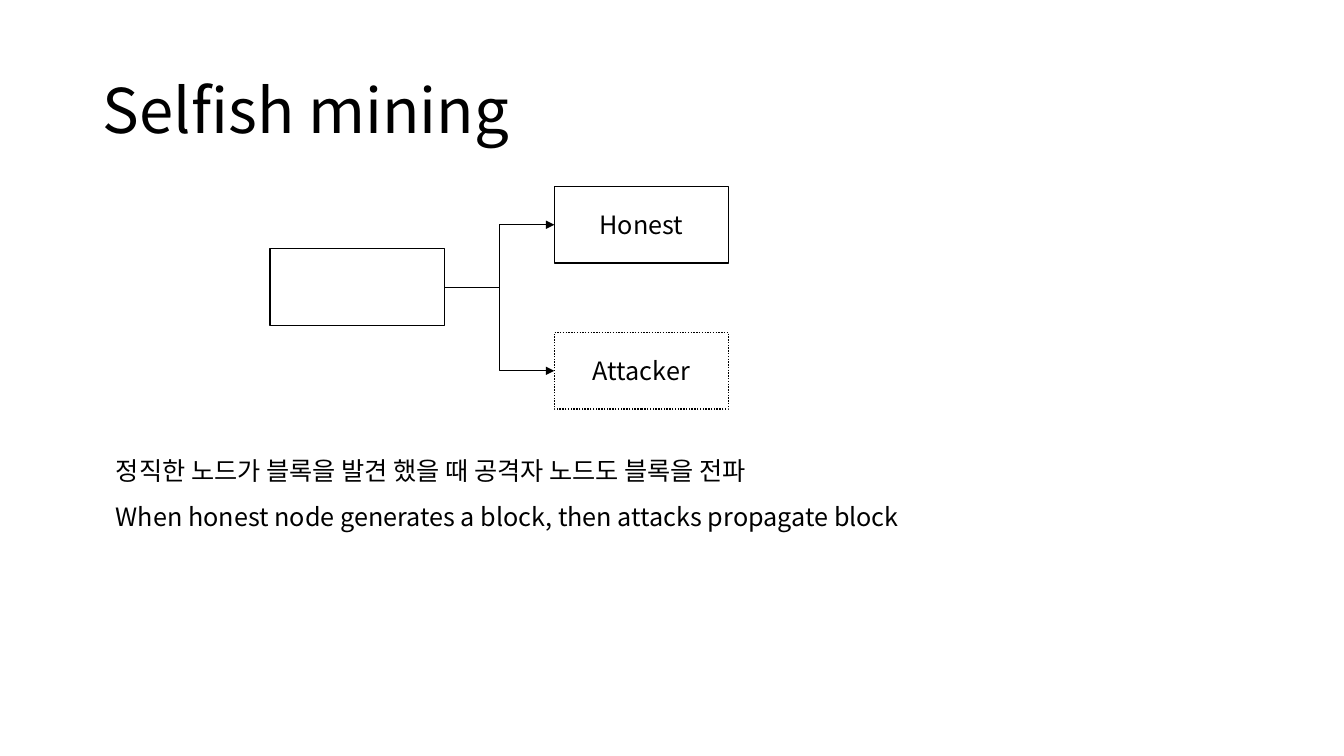
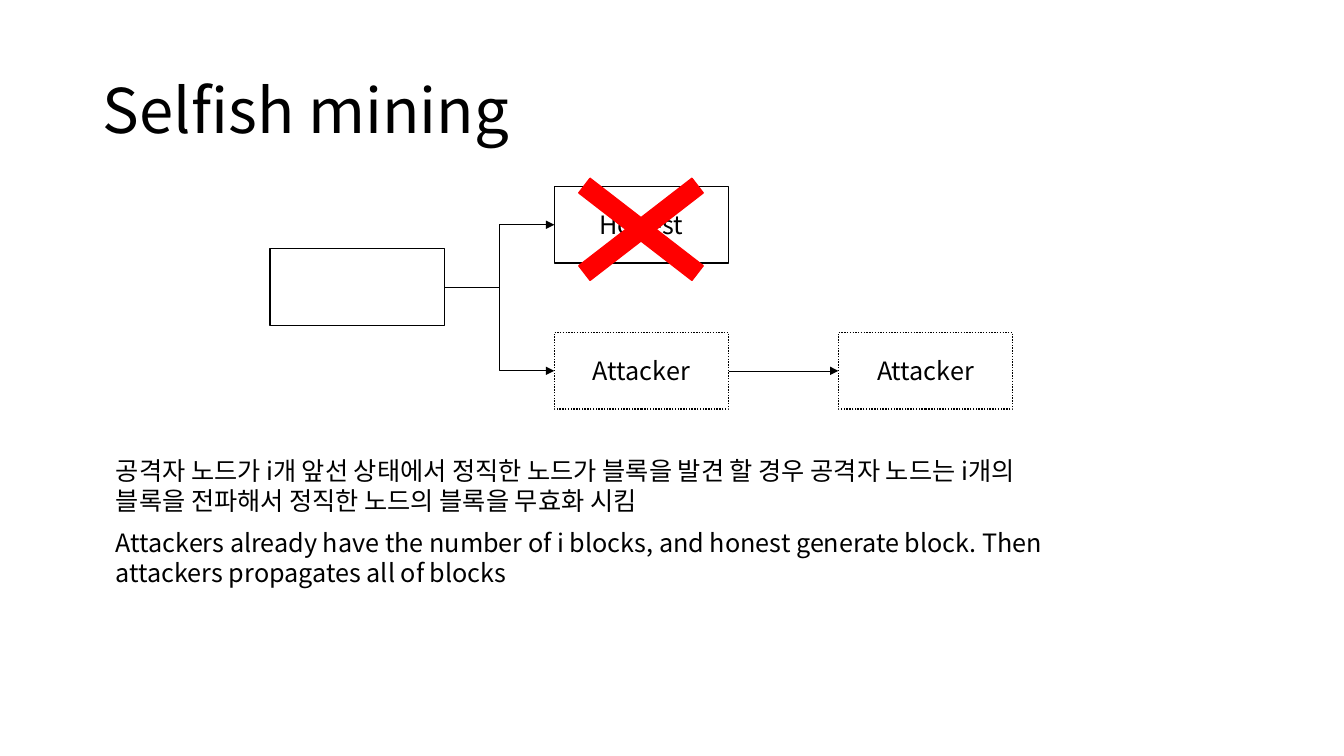
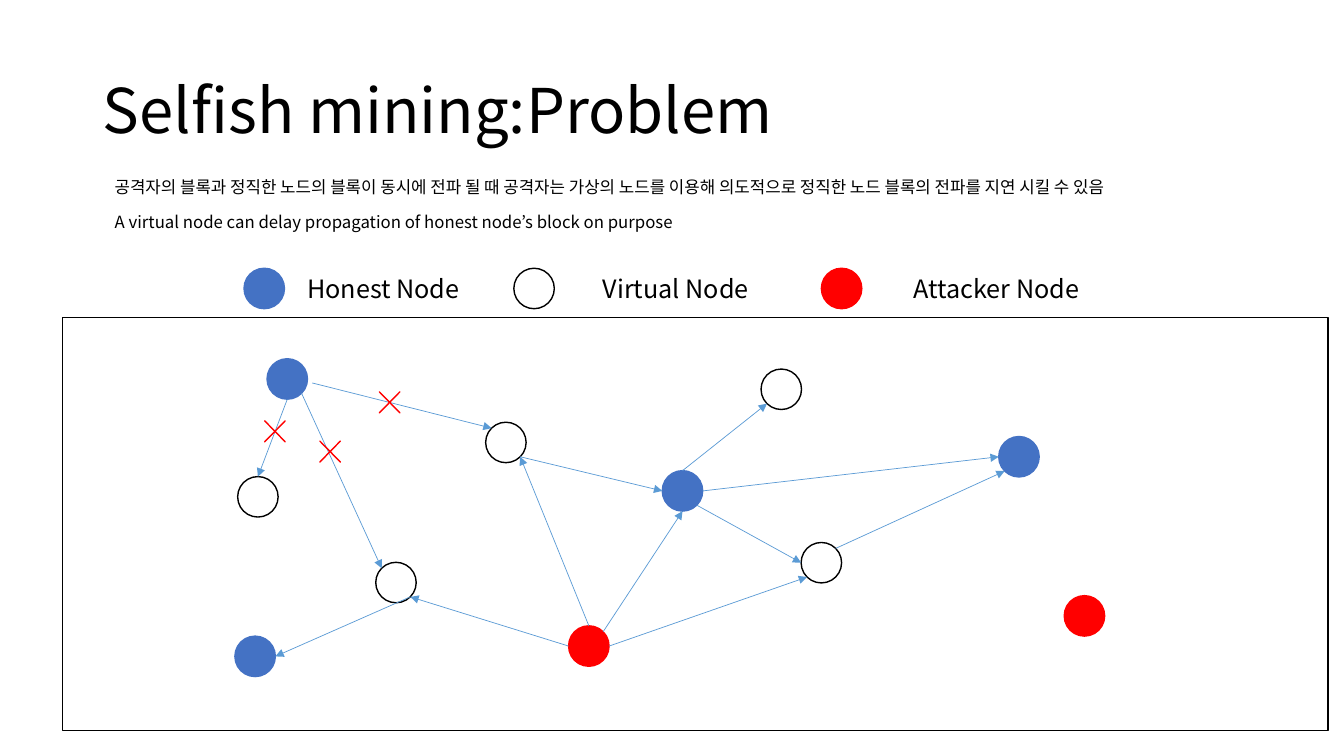
from math import cos, radians, sin

from lxml import etree
from pptx import Presentation
from pptx.dml.color import RGBColor
from pptx.enum.dml import MSO_LINE
from pptx.enum.shapes import MSO_CONNECTOR, MSO_SHAPE
from pptx.enum.text import MSO_ANCHOR, MSO_AUTO_SIZE, PP_ALIGN
from pptx.oxml.ns import qn
from pptx.util import Cm, Pt

RECT, OVAL, CROSS = MSO_SHAPE.RECTANGLE, MSO_SHAPE.OVAL, MSO_SHAPE.MATH_MULTIPLY
ELBOW, STRAIGHT = MSO_CONNECTOR.ELBOW, MSO_CONNECTOR.STRAIGHT
DOTTED = MSO_LINE.ROUND_DOT
MIDDLE = MSO_ANCHOR.MIDDLE
LEFT, CENTER = PP_ALIGN.LEFT, PP_ALIGN.CENTER
FIXED, GROW = MSO_AUTO_SIZE.NONE, MSO_AUTO_SIZE.SHAPE_TO_FIT_TEXT

FONT = "Noto Sans CJK KR"
BLACK = RGBColor(0x00, 0x00, 0x00)
BLUE = RGBColor(0x44, 0x72, 0xC4)
SKY = RGBColor(0x5B, 0x9B, 0xD5)
RED = RGBColor(0xFF, 0x00, 0x00)

# Block grid and node size, in cm
BOX_W, BOX_H = 4.39, 1.93
COL_X, COL_STEP = 6.81, 7.16
START_Y, TOP_Y, LOW_Y = 6.27, 4.7, 8.38
NODE = 1.02
LEAD, SITE_RIGHT, SITE_LEFT = 2.67, 3, 1

# Node kinds: fill and outline
HONEST, VIRTUAL, ATTACK = (BLUE, BLUE), (None, BLACK), (RED, RED)

NODES = {
    "H1": (HONEST, 6.73, 9.04), "H2": (HONEST, 5.92, 16.03),
    "H3": (HONEST, 16.69, 11.86), "H4": (HONEST, 25.17, 11),
    "V1": (VIRTUAL, 5.99, 12.01), "V2": (VIRTUAL, 12.24, 10.64),
    "V3": (VIRTUAL, 20.19, 13.67), "V4": (VIRTUAL, 9.47, 14.17),
    "V5": (VIRTUAL, 19.18, 9.3),
    "A1": (ATTACK, 26.82, 15.01), "A2": (ATTACK, 14.33, 15.77),
}

# Compass points on a node, in degrees
ANGLES = {"E": 0, "NE": 45, "N": 90, "NW": 135,
          "W": 180, "SW": 225, "S": 270, "SE": 315}

LINKS = [
    ("H1", "S", "V1", "N"), ("H1", "SE", "V4", "NW"),
    ("A2", "N", "V2", "SE"), ("A2", "W", "V4", "SE"),
    ("V4", "SE", "H2", "E"), ("V2", "SE", "H3", "W"),
    ("H3", "E", "H4", "W"), ("V3", "NE", "H4", "SW"),
    ("H3", "N", "V5", "SW"), ("H3", "SE", "V3", "W"),
    ("A2", "NE", "H3", "S"), ("A2", "E", "V3", "SW"),
]
LOOSE = (7.87, 9.65)  # start of the link that stands clear of its node

CUTS = [(6.43, 10.36), (7.82, 10.87), (9.32, 9.63)]

# Legend: kind, node left, label left, label
LEGEND = [
    (HONEST, 6.15, 7.49, "Honest Node"),
    (VIRTUAL, 12.95, 14.94, "Virtual Node"),
    (ATTACK, 20.7, 22.78, "Attacker Node"),
]
LEGEND_Y = 6.76


# Shared elements
def write(frame, text, size, align=LEFT):
    frame.text = text
    para = frame.paragraphs[0]
    para.alignment = align
    for run in para.runs:
        font = run.font
        font.size, font.name = Pt(size), FONT
        font.color.rgb = BLACK
        etree.SubElement(font._element, qn("a:ea"), typeface=FONT)
    return para


def set_up(deck):
    deck.slide_width, deck.slide_height = Cm(33.87), Cm(19.05)
    layout = deck.slide_layouts.get_by_name("Title Only")
    title = layout.placeholders[0]
    title.left, title.top = Cm(2.34), Cm(1.02)
    title.width, title.height = Cm(29.21), Cm(3.68)
    return layout


def add_slide(deck, layout, text):
    slide = deck.slides.add_slide(layout)
    frame = slide.shapes.title.text_frame
    frame.vertical_anchor, frame.auto_size = MIDDLE, FIXED
    write(frame, text, 44).line_spacing = 0.9
    return slide


def add_note(slide, x, y, width, text, size=18, height=1.02):
    note = slide.shapes.add_textbox(Cm(x), Cm(y), Cm(width), Cm(height))
    frame = note.text_frame
    frame.word_wrap, frame.auto_size = True, GROW
    write(frame, text, size)


def add_form(slide, kind, x, y, width, height, fill=None, line=BLACK):
    form = slide.shapes.add_shape(kind, Cm(x), Cm(y), Cm(width), Cm(height))
    form.shadow.inherit = False
    if fill is None:
        form.fill.background()
    else:
        form.fill.solid()
        form.fill.fore_color.rgb = fill
    form.line.color.rgb, form.line.width = line, Pt(1)
    return form


def add_cross(slide, x, y, width, height, thick):
    cross = add_form(slide, CROSS, x, y, width, height, RED, RED)
    cross.adjustments[0] = thick


def add_arrow(slide, kind, start, end, color):
    spots = [Cm(v) for v in (*start, *end)]
    arrow = slide.shapes.add_connector(kind, *spots)
    arrow.line.color.rgb, arrow.line.width = color, Pt(0.5)
    etree.SubElement(arrow.line._get_or_add_ln(), qn("a:tailEnd"), type="triangle")
    etree.SubElement(arrow._element.spPr, qn("a:effectLst"))
    return arrow


# Block chain
def add_block(slide, col, y, text="", dash=None):
    block = add_form(slide, RECT, COL_X + col * COL_STEP, y, BOX_W, BOX_H)
    if dash:
        block.line.dash_style = dash
    if text:
        block.text_frame.vertical_anchor = MIDDLE
        write(block.text_frame, text, 18, CENTER)
    return block


def join(slide, kind, first, last):
    arrow = add_arrow(slide, kind, (0, 0), (1, 1), BLACK)
    arrow.begin_connect(first, SITE_RIGHT)
    arrow.end_connect(last, SITE_LEFT)


def add_fork(slide):
    start = add_block(slide, 0, START_Y)
    honest = add_block(slide, 1, TOP_Y, "Honest")
    rival = add_block(slide, 1, LOW_Y, "Attacker", DOTTED)
    for block in (honest, rival):
        join(slide, ELBOW, start, block)
    return rival


# Node network
def add_node(slide, kind, x, y):
    add_form(slide, OVAL, x, y, NODE, NODE, *kind)


def rim(name, side):
    _, x, y = NODES[name]
    half, turn = NODE / 2, radians(ANGLES[side])
    return x + half + half * cos(turn), y + half - half * sin(turn)


def add_net(slide):
    add_form(slide, RECT, 1.57, 8, 31.9, 10.41)
    for node in NODES.values():
        add_node(slide, *node)
    ends = [(rim(a, out), rim(b, into)) for a, out, b, into in LINKS]
    for start, end in [(LOOSE, rim("V2", "NW"))] + ends:
        add_arrow(slide, STRAIGHT, start, end, SKY)
    for x, y in CUTS:
        add_cross(slide, x, y, 1, NODE, 0)


def add_legend(slide):
    for kind, x, label_x, label in LEGEND:
        add_node(slide, kind, x, LEGEND_Y)
        add_note(slide, label_x, LEGEND_Y, 4.75, label)


def main():
    deck = Presentation()
    layout = set_up(deck)

    # Honest block found
    slide = add_slide(deck, layout, "Selfish mining")
    add_fork(slide)
    add_note(slide, LEAD, 11.35, 23.37,
             "정직한 노드가 블록을 발견 했을 때 공격자 노드도 블록을 전파")
    add_note(slide, LEAD, 12.5, 23.37,
             "When honest node generates a block, then attacks propagate block")

    # Attacker ahead
    slide = add_slide(deck, layout, "Selfish mining")
    rival = add_fork(slide)
    join(slide, STRAIGHT, rival, add_block(slide, 2, LOW_Y, "Attacker", DOTTED))
    add_cross(slide, 13.41, 3.66, 5.49, 4.24, 0.11)
    add_note(slide, LEAD, 11.35, 24.84,
             "공격자 노드가 i개 앞선 상태에서 정직한 노드가 블록을 발견 할 경우 "
             "공격자 노드는 i개의 블록을 전파해서 정직한 노드의 블록을 무효화 시킴",
             height=1.8)
    add_note(slide, LEAD, 13.16, 26.34,
             "Attackers already have the number of i blocks, and honest generate "
             "block. Then attackers propagates all of blocks", height=1.8)

    # Delayed spread
    slide = add_slide(deck, layout, "Selfish mining:Problem")
    add_note(slide, 2.64, 4.32, 30.1,
             "공격자의 블록과 정직한 노드의 블록이 동시에 전파 될 때 공격자는 가상의 노드를 "
             "이용해 의도적으로 정직한 노드 블록의 전파를 지연 시킬 수 있음", 12, 0.76)
    add_note(slide, 2.64, 5.21, 30.1,
             "A virtual node can delay propagation of honest node’s block on purpose",
             12, 0.76)
    add_legend(slide)
    add_net(slide)

    deck.save("out.pptx")


if __name__ == "__main__":
    main()
